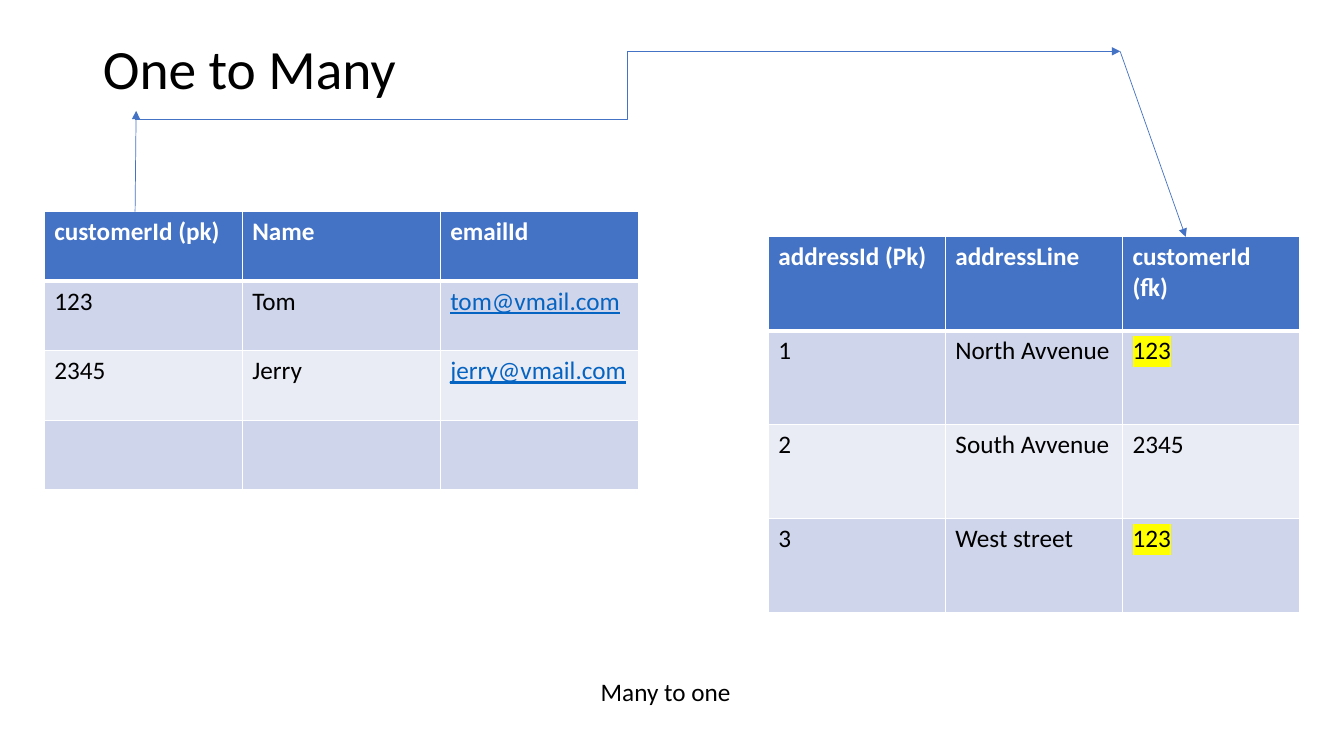
from dataclasses import dataclass

from lxml import etree
from pptx import Presentation
from pptx.dml.color import RGBColor
from pptx.enum import shapes, text
from pptx.oxml import ns
from pptx.slide import Slide
from pptx.table import _Cell
from pptx.text.text import TextFrame
from pptx.util import Inches, Pt

FONT = "Calibri"
BLACK, WHITE, BLUE = "000000", "FFFFFF", "4472C4"
LINK, YELLOW = "0563C1", "FFFF00"
BANDS = ("CFD5EA", "E9EBF5")


@dataclass
class Grid:
    left: float
    top: float
    width: float
    height: float
    rows: list[tuple[str, ...]]
    highlighted: str = ""


@dataclass
class Link:
    kind: shapes.MSO_CONNECTOR
    start: tuple[float, float]
    end: tuple[float, float]


GRIDS = [
    Grid(0.44, 2.1, 5.89, 2.76, [
        ("customerId (pk)", "Name", "emailId"),
        ("123", "Tom", "tom@vmail.com"),
        ("2345", "Jerry", "jerry@vmail.com"),
        ("", "", ""),
    ]),
    Grid(7.62, 2.35, 5.27, 3.73, [
        ("addressId (Pk)", "addressLine", "customerId (fk)"),
        ("1", "North Avvenue", "123"),
        ("2", "South Avvenue", "2345"),
        ("3", "West street", "123"),
    ], highlighted="123"),
]
LINKS = [
    Link(shapes.MSO_CONNECTOR.ELBOW, (1.34, 1.18), (11.11, 0.51)),
    Link(shapes.MSO_CONNECTOR.STRAIGHT, (1.34, 2.1), (1.35, 1.1)),
    Link(shapes.MSO_CONNECTOR.STRAIGHT, (11.11, 0.51), (11.76, 2.35)),
]


def rgb(value: str) -> RGBColor:
    return RGBColor.from_string(value)


def write(frame: TextFrame, words: str, *, size: float = 18, color: str = BLACK,
          bold: bool = False, underline: bool = False, highlight: str = "",
          spacing: float = 1.0) -> None:
    para = frame.paragraphs[0]
    para.alignment = text.PP_ALIGN.LEFT
    para.line_spacing = spacing
    span = para.add_run()
    span.text = words
    font = span.font
    font.name, font.size = FONT, Pt(size)
    font.bold, font.underline = bold, underline
    font.color.rgb = rgb(color)
    if highlight:
        mark = etree.Element(ns.qn("a:highlight"))
        etree.SubElement(mark, ns.qn("a:srgbClr"), val=highlight)
        span.font._element.find(ns.qn("a:latin")).addprevious(mark)


def set_borders(cell: _Cell, top: float, bottom: float) -> None:
    properties = cell._tc.get_or_add_tcPr()
    widths = {"a:lnL": 1, "a:lnR": 1, "a:lnT": top, "a:lnB": bottom}
    for index, (tag, width) in enumerate(widths.items()):
        line = etree.Element(ns.qn(tag), w=str(Pt(width)))
        fill = etree.SubElement(line, ns.qn("a:solidFill"))
        etree.SubElement(fill, ns.qn("a:srgbClr"), val=WHITE)
        properties.insert(index, line)


def draw_grid(page: Slide, grid: Grid) -> None:
    table = page.shapes.add_table(
        len(grid.rows), len(grid.rows[0]), Inches(grid.left), Inches(grid.top),
        Inches(grid.width), Inches(grid.height)).table
    for row, values in enumerate(grid.rows):
        header = row == 0
        for column, words in enumerate(values):
            cell = table.cell(row, column)
            cell.fill.solid()
            cell.fill.fore_color.rgb = rgb(BLUE if header else BANDS[(row - 1) % 2])
            set_borders(cell, top=3 if row == 1 else 1, bottom=3 if header else 1)
            if words:
                email = "@" in words
                write(cell.text_frame, words, bold=header, underline=email,
                      color=WHITE if header else LINK if email else BLACK,
                      highlight=YELLOW if words == grid.highlighted else "")


def draw_link(page: Slide, link: Link) -> None:
    arrow = page.shapes.add_connector(
        link.kind, *(Inches(value) for value in link.start + link.end))
    arrow.line.color.rgb = rgb(BLUE)
    arrow.line.width = Pt(0.5)
    etree.SubElement(arrow.line._get_or_add_ln(), ns.qn("a:tailEnd"), type="triangle")
    etree.SubElement(arrow._element.spPr, ns.qn("a:effectLst"))


def main() -> None:
    deck = Presentation()
    deck.slide_width, deck.slide_height = Inches(13.33), Inches(7.5)
    page = deck.slides.add_slide(deck.slide_layouts.get_by_name("Title Only"))

    title = page.shapes.title
    title.left, title.top = Inches(0.92), Inches(0.4)
    title.width, title.height = Inches(11.5), Inches(0.62)
    title.text_frame.auto_size = text.MSO_AUTO_SIZE.NONE
    title.text_frame.vertical_anchor = text.MSO_ANCHOR.MIDDLE
    write(title.text_frame, "One to Many", size=39.6, spacing=0.9)

    for grid in GRIDS:
        draw_grid(page, grid)
    for link in LINKS:
        draw_link(page, link)

    box = page.shapes.add_textbox(Inches(5.86), Inches(6.66), Inches(1.5), Inches(0.4))
    box.text_frame.word_wrap = False
    box.text_frame.auto_size = text.MSO_AUTO_SIZE.SHAPE_TO_FIT_TEXT
    write(box.text_frame, "Many to one")

    deck.save("out.pptx")


if __name__ == "__main__":
    main()
